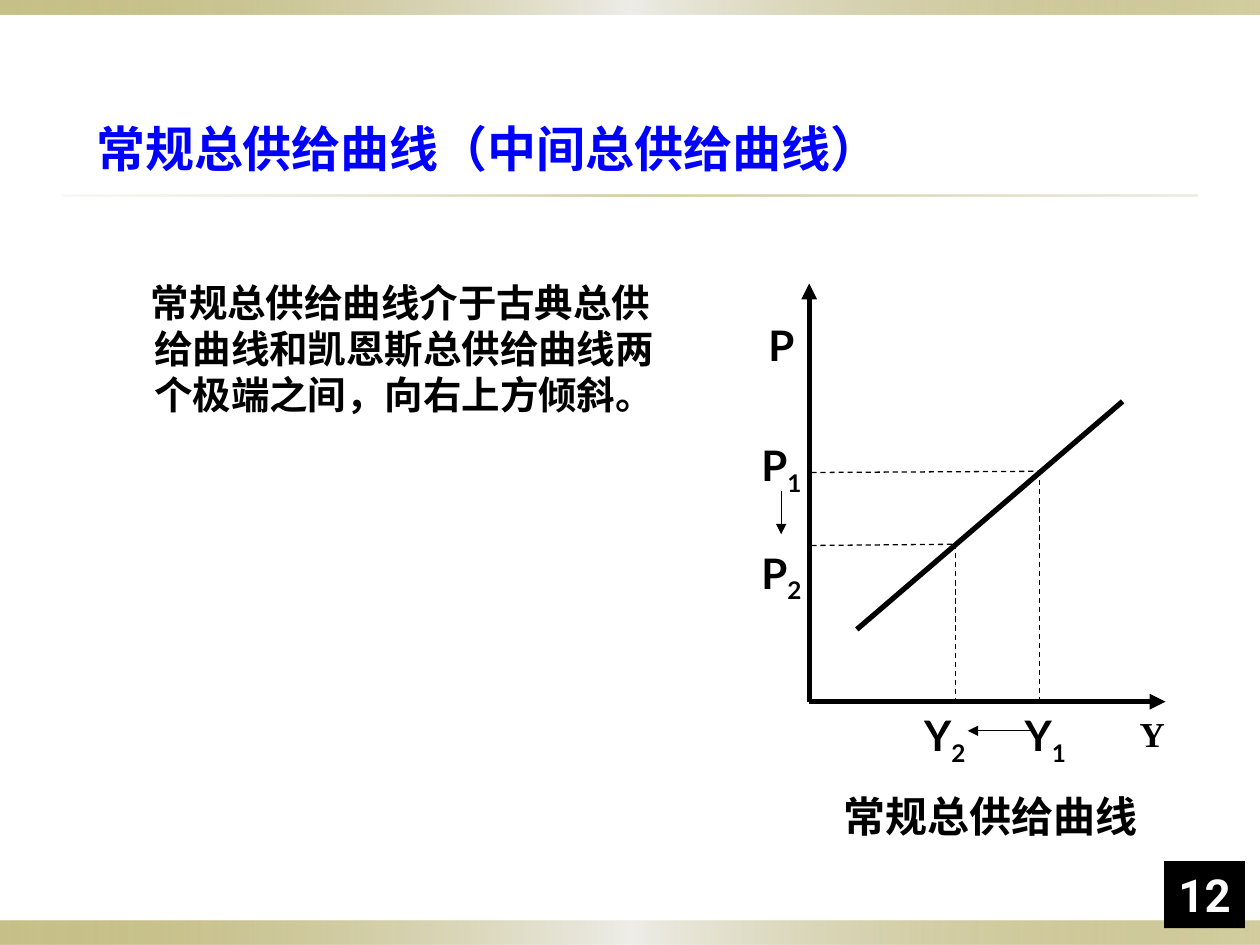
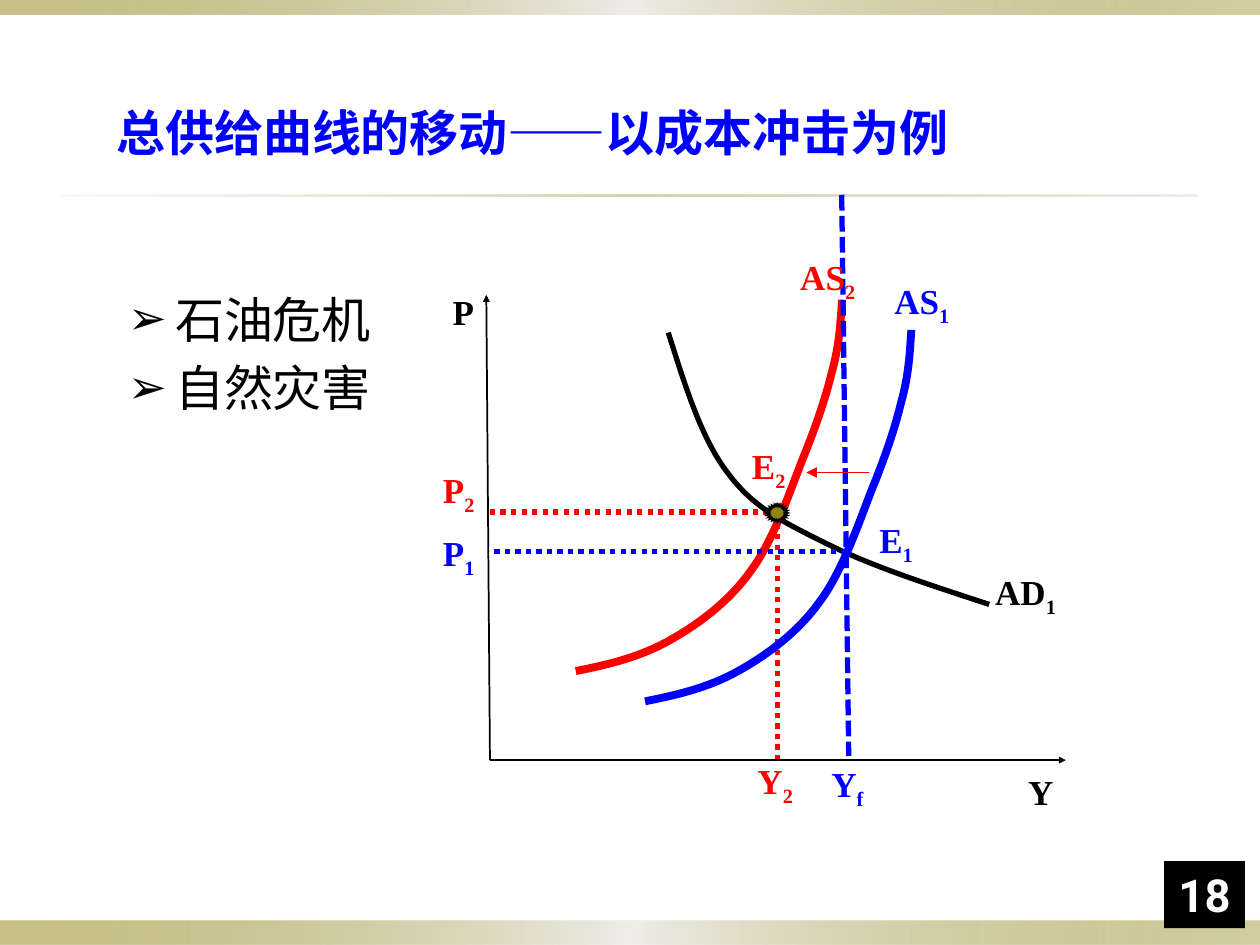
import lxml.etree
import pptx
import pptx.dml.color
import pptx.enum.dml
import pptx.enum.shapes
import pptx.enum.text
import pptx.oxml.ns
import pptx.util

Pt = pptx.util.Pt
qn = pptx.oxml.ns.qn
DASHES = pptx.enum.dml.MSO_LINE
SHAPES = pptx.enum.shapes.MSO_SHAPE
ALIGN = pptx.enum.text.PP_ALIGN
ANCHOR = pptx.enum.text.MSO_ANCHOR

BLACK, WHITE, BLUE, RED = "000000", "FFFFFF", "0000FF", "FF0000"
OLIVE, SILVER, SAND = "918415", "EEEDE8", "DCD9CC"
SERIF, SANS, CHINESE = "Times New Roman", "Lato", "Noto Sans CJK SC"
BAND_STOPS = ((0, OLIVE, 50), (50, SILVER, 100), (100, OLIVE, 40))
RULE_STOPS = ((0, SAND, 20), (50, OLIVE, 40), (100, SAND, 50))

AD_CURVE = (
    (136.3, 79.9), (145.7, 109.4), (155, 139.7), (170.2, 159.1), (185.3, 179.3),
    (202.6, 187.2), (227, 199.4), (251.5, 211.7), (284.6, 222.5), (317.8, 233.3),
)
AS_CURVE = (
    (124.8, 288.7), (142.8, 285.1), (160.1, 280.8), (176.6, 271.4),
    (193.2, 262.1), (210.5, 249.1), (222.7, 231.8), (235, 215.3),
    (244.3, 188.6), (251.5, 169.9), (259.4, 150.5), (265.2, 133.9),
    (268.8, 118.8), (273.1, 103.7), (273.8, 91.4), (274.6, 79.2),
)


def rgb(value):
    return pptx.dml.color.RGBColor.from_string(value)


def add_child(parent, tag, **attributes):
    return lxml.etree.SubElement(parent, qn(tag), attributes)


def format_run(run, size, color, font, bold=True, subscript=False):
    run.font.size = Pt(size)
    run.font.bold = bold
    run.font.color.rgb = rgb(color)
    run.font.name = font
    properties = run._r.get_or_add_rPr()
    add_child(properties, "a:ea", typeface=CHINESE)
    if subscript:
        properties.set("baseline", "-25000")


def add_text(slide, box, text, size, color, font,
             align=ALIGN.LEFT, anchor=ANCHOR.TOP, bold=True):
    shape = slide.shapes.add_textbox(*map(Pt, box))
    frame = shape.text_frame
    frame.word_wrap = True
    frame.vertical_anchor = anchor
    frame.text = text
    for paragraph in frame.paragraphs:
        paragraph.alignment = align
        for run in paragraph.runs:
            format_run(run, size, color, font, bold)
    return shape


def add_label(slide, left, top, text, subscript="", color=BLACK, size=20, font=SERIF):
    width = 20 + 16 * len(text + subscript)
    shape = add_text(slide, (left, top, width, 32), text, size, color, font)
    if subscript:
        run = shape.text_frame.paragraphs[0].add_run()
        run.text = subscript
        format_run(run, size, color, font, subscript=True)


def indent(paragraph, margin, first_line):
    properties = paragraph._p.get_or_add_pPr()
    properties.set("marL", str(Pt(margin)))
    properties.set("indent", str(Pt(first_line)))
    return properties


def add_shape(slide, kind, box, color):
    shape = slide.shapes.add_shape(kind, *map(Pt, box))
    shape.shadow.inherit = False
    shape.fill.solid()
    shape.fill.fore_color.rgb = rgb(color)
    shape.line.fill.background()
    return shape


def add_gradient_bar(slide, box, stops):
    shape = add_shape(slide, SHAPES.RECTANGLE, box, OLIVE)
    shape.fill.gradient()
    shape.fill.gradient_angle = 0
    stop_list = shape._element.spPr.find(qn("a:gradFill")).find(qn("a:gsLst"))
    for stop in list(stop_list):
        stop_list.remove(stop)
    for position, color, opacity in stops:
        stop = add_child(stop_list, "a:gs", pos=str(position * 1000))
        tint = add_child(stop, "a:srgbClr", val=color)
        add_child(tint, "a:alpha", val=str(opacity * 1000))


def add_line(slide, start, end, color=BLACK, width=0.75, dash=None, arrow=None):
    connector = slide.shapes.add_connector(
        pptx.enum.shapes.MSO_CONNECTOR.STRAIGHT, *map(Pt, (*start, *end)))
    connector.line.color.rgb = rgb(color)
    connector.line.width = Pt(width)
    if dash:
        connector.line.dash_style = dash
    properties = connector._element.spPr
    if arrow:
        add_child(properties.find(qn("a:ln")), "a:tailEnd", type="triangle", w=arrow, len=arrow)
    add_child(properties, "a:effectLst")


def add_curve(slide, left, top, controls, color, width):
    points = [(Pt(left + x), Pt(top + y)) for x, y in controls]
    builder = slide.shapes.build_freeform(*points[0])
    builder.add_line_segments(points[1:], close=False)
    shape = builder.convert_to_shape()
    shape.shadow.inherit = False
    shape.fill.background()
    shape.line.color.rgb = rgb(color)
    shape.line.width = Pt(width)
    shape.line._get_or_add_ln().set("cap", "sq")
    segments = list(shape._element.iter(qn("a:lnTo")))
    outline = segments[0].getparent()
    for index in range(0, len(segments), 3):
        bend = add_child(outline, "a:cubicBezTo")
        for segment in segments[index:index + 3]:
            bend.append(segment[0])
            outline.remove(segment)


def add_frame(slide, width, height):
    add_gradient_bar(slide, (0, height - 14, width, 14), BAND_STOPS)
    add_gradient_bar(slide, (0, 0, width, 8.3), BAND_STOPS)
    add_gradient_bar(slide, (36, 111.2, width - 72, 1.2), RULE_STOPS)


def add_page_number(slide, box, number):
    shape = add_shape(slide, SHAPES.RECTANGLE, box, BLACK)
    frame = shape.text_frame
    frame.vertical_anchor = ANCHOR.BOTTOM
    frame.text = str(number)
    frame.paragraphs[0].alignment = ALIGN.CENTER
    format_run(frame.paragraphs[0].runs[0], 26, WHITE, "Roboto")


def add_title(slide, box, text, font, anchor):
    add_text(slide, box, text, 28, BLUE, font, anchor=anchor)


def add_statement(slide, box, text):
    shape = add_text(slide, box, text, 22, BLACK, "Arial")
    indent(shape.text_frame.paragraphs[0], 27, -2)


def add_bullets(slide, box, items):
    shape = add_text(slide, box, "\n".join(items), 28, BLACK, CHINESE, bold=False)
    for index, paragraph in enumerate(shape.text_frame.paragraphs):
        properties = indent(paragraph, 27, -27)
        add_child(properties, "a:buSzPct", val="95000")
        add_child(properties, "a:buFont", typeface="Arial")
        add_child(properties, "a:buChar", char="➢")
        if index:
            paragraph.space_before = Pt(5.6)


def draw_normal_supply(slide, left, top):
    def at(x, y):
        return left + x, top + y

    axis_x, axis_y = 34.4, 239
    add_line(slide, at(axis_x, axis_y), at(axis_x, 0), width=3, arrow="med")
    add_line(slide, at(axis_x, axis_y), at(238, axis_y), width=3, arrow="med")
    add_line(slide, at(213.5, 67.4), at(61.6, 197.7), width=3)
    for quantity, price in ((166, 107.3), (118, 149)):
        add_line(slide, at(axis_x + 1.3, price + 0.7), at(quantity + 1.4, price),
                 dash=DASHES.DASH)
        add_line(slide, at(quantity, price), at(quantity, axis_y), dash=DASHES.DASH)
    add_line(slide, at(18.4, 118.8), at(18.4, 143.3), arrow="med")
    add_line(slide, at(161, 255.6), at(125, 255.6), arrow="med")
    for x, y, text, subscript in (
            (4, 17.3, "P", ""), (0, 85.7, "P", "1"), (0, 147.2, "P", "2"),
            (93, 240, "Y", "2"), (150.5, 240, "Y", "1")):
        add_label(slide, *at(x, y), text, subscript, size=24, font=SANS)
    add_label(slide, *at(216.2, 241.6), "Y")
    add_text(slide, (*at(43.8, 286.4), 188, 36.7), "常规总供给曲线",
             24, BLACK, SERIF, align=ALIGN.CENTER)


def draw_cost_shock(slide, left, top):
    def at(x, y):
        return left + x, top + y

    axis_x, axis_y = 34, 322.8
    new_quantity, new_price, old_price = 198.2, 181, 203.6
    add_line(slide, at(axis_x, new_price), at(192.5, new_price), RED, 3, DASHES.ROUND_DOT)
    add_line(slide, at(new_quantity, axis_y), at(new_quantity, 175.7),
             RED, 3, DASHES.ROUND_DOT)
    add_curve(slide, left - 39.6, top - 17.3, AS_CURVE, RED, 4.5)
    add_curve(slide, left, top, AD_CURVE, BLACK, 3)
    add_line(slide, at(axis_x, axis_y), at(363.1, axis_y), width=1, arrow="sm")
    add_line(slide, at(axis_x, axis_y), at(31.9, 56.9), width=1, arrow="sm")
    add_line(slide, at(237.8, old_price), at(axis_x, old_price), BLUE, 3, DASHES.ROUND_DOT)
    add_curve(slide, left, top, AS_CURVE, BLUE, 4.5)
    add_line(slide, at(235, -0.3), at(239, 320.4), BLUE, 3, DASHES.SQUARE_DOT)
    add_line(slide, at(250.8, 158.4), at(214.8, 158.4), RED, arrow="med")
    equilibrium = add_shape(slide, SHAPES.STAR_24_POINT, (*at(192, 176.5), 12.2, 10.1), OLIVE)
    equilibrium.adjustments[0] = 0.375
    equilibrium.line.color.rgb = rgb(BLACK)
    equilibrium.line.width = Pt(1)
    add_child(equilibrium.line._get_or_add_ln(), "a:miter", lim="800000")
    for x, y, text, subscript, color in (
            (176.6, 139, "E", "2", RED), (0, 152.6, "P", "2", RED),
            (179.8, 319, "Y", "2", RED), (204.2, 31, "AS", "2", RED),
            (5.6, 50.8, "P", "", BLACK), (334.5, 325, "Y", "", BLACK),
            (315.6, 211, "AD", "1", BLACK), (222, 320.4, "Y", "f", BLUE),
            (258, 44.8, "AS", "1", BLUE), (249.4, 181, "E", "1", BLUE),
            (0, 188.6, "P", "1", BLUE)):
        add_label(slide, *at(x, y), text, subscript, color)


def add_slide(presentation, number):
    slide = presentation.slides.add_slide(presentation.slide_layouts[6])
    add_frame(slide, presentation.slide_width.pt, presentation.slide_height.pt)
    add_page_number(slide, (665.3, 492, 46.1, 38.4), number)
    return slide


def main():
    presentation = pptx.Presentation()
    presentation.slide_width = Pt(720)
    presentation.slide_height = Pt(540)

    slide = add_slide(presentation, 12)
    add_title(slide, (47.9, 67, 504, 34.6), "常规总供给曲线（中间总供给曲线）",
              SERIF, ANCHOR.MIDDLE)
    add_statement(slide, (54, 156, 342, 95.8),
                  "常规总供给曲线介于古典总供给曲线和凯恩斯总供给曲线两个极端之间，向右上方倾斜。")
    draw_normal_supply(slide, 428, 162)

    slide = add_slide(presentation, 18)
    add_title(slide, (59.4, 55.1, 521.3, 44.6), "总供给曲线的移动——以成本冲击为例",
              CHINESE, ANCHOR.TOP)
    add_bullets(slide, (66, 161.8, 180, 108), ("石油危机", "自然灾害"))
    draw_cost_shock(slide, 246, 111.6)

    presentation.save("out.pptx")


if __name__ == "__main__":
    main()
